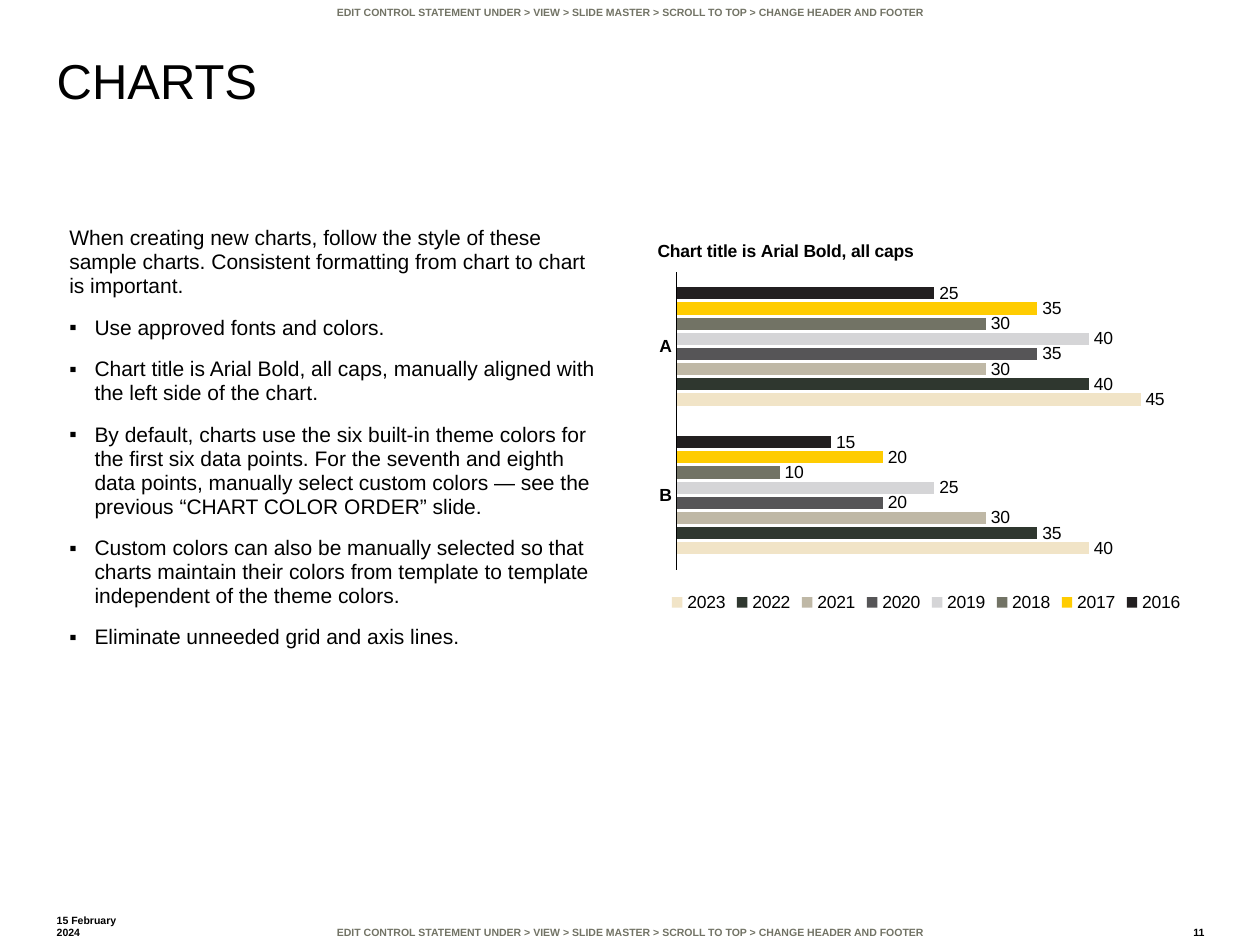
from dataclasses import dataclass

from lxml import etree
from pptx import Presentation
from pptx import util as u
from pptx.chart.data import CategoryChartData
from pptx.dml.color import RGBColor
from pptx.enum import chart as ch, text as t
from pptx.oxml import parse_xml
from pptx.oxml.ns import nsdecls, qn


@dataclass(frozen=True)
class Theme:
    font: str = "Arial"
    ink: str = "000000"
    muted: str = "727365"
    title: int = 28
    body: int = 12
    chart: int = 10
    small: int = 6


THEME = Theme()
CONTROL = ("EDIT CONTROL STATEMENT UNDER > VIEW > SLIDE MASTER > "
           "SCROLL TO TOP > CHANGE HEADER AND FOOTER")
INTRO = ("When creating new charts, follow the style of these sample charts. "
         "Consistent formatting from chart to chart is important.")
GUIDELINES = [
    "Use approved fonts and colors.",
    "Chart title is Arial Bold, all caps, manually aligned with the left side of the chart.",
    "By default, charts use the six built-in theme colors for the first six data points. "
    "For the seventh and eighth data points, manually select custom colors — see the "
    "previous “CHART COLOR ORDER” slide.",
    "Custom colors can also be manually selected so that charts maintain their colors "
    "from template to template independent of the theme colors.",
    "Eliminate unneeded grid and axis lines.",
]
YEARS = {  # year: (values for A and B, bar colour)
    "2016": ((25, 15), "221F20"),
    "2017": ((35, 20), "FFCC01"),
    "2018": ((30, 10), "727365"),
    "2019": ((40, 25), "D5D5D7"),
    "2020": ((35, 20), "565557"),
    "2021": ((30, 30), "BFB8A6"),
    "2022": ((40, 35), "2F372F"),
    "2023": ((45, 40), "F1E4C7"),
}


def apply(target, formats):
    for name, value in formats.items():
        setattr(target, name, value)


def style_font(font, size, color=THEME.ink, bold=False):
    apply(font, {"name": THEME.font, "size": u.Pt(size), "bold": bold})
    font.color.rgb = RGBColor.from_string(color)


def place(shape, box):
    apply(shape, dict(zip(("left", "top", "width", "height"), map(u.Inches, box))))


def style_frame(frame, side, end, anchor=t.MSO_ANCHOR.TOP):
    apply(frame, {
        "word_wrap": True, "auto_size": t.MSO_AUTO_SIZE.NONE, "vertical_anchor": anchor,
        "margin_left": u.Inches(side), "margin_right": u.Inches(side),
        "margin_top": u.Inches(end), "margin_bottom": u.Inches(end),
    })


def set_bullet(paragraph, char=None, indent=0):
    props = paragraph._p.get_or_add_pPr()
    props.set("marL", str(u.Inches(indent)))
    props.set("indent", str(-u.Inches(indent)))
    if char:
        etree.SubElement(props, qn("a:buFont"), typeface=THEME.font)
        etree.SubElement(props, qn("a:buChar"), char=char)
    else:
        etree.SubElement(props, qn("a:buNone"))


def add_heading(title, box):
    place(title, box)
    style_frame(title.text_frame, 0, 0)
    heading = title.text_frame.paragraphs[0]
    heading.text = "CHARTS"
    apply(heading, {"alignment": t.PP_ALIGN.LEFT, "line_spacing": 0.9})
    style_font(heading.runs[0].font, THEME.title)


def add_guidelines(body, box):
    place(body, box)
    frame = body.text_frame
    style_frame(frame, 0.1, 0.05)
    frame.text = "\n".join([INTRO, *GUIDELINES])
    for i, guideline in enumerate(frame.paragraphs):
        apply(guideline, {"line_spacing": 0.95, "space_before": u.Pt(10),
                          "alignment": t.PP_ALIGN.LEFT})
        style_font(guideline.runs[0].font, THEME.body)
        if i:
            set_bullet(guideline, "▪", 0.2)
        else:
            set_bullet(guideline)


def add_small_print(slide, box, wording, align, anchor=t.MSO_ANCHOR.BOTTOM, color=THEME.ink):
    note = slide.shapes.add_textbox(*map(u.Inches, box))
    style_frame(note.text_frame, 0, 0.05, anchor)
    line = note.text_frame.paragraphs[0]
    line.text = wording
    line.alignment = align
    style_font(line.runs[0].font, THEME.small, color, True)


def set_layout(parent, after, inner=False, **fractions):
    """Fix the position of a chart part, in fractions of the chart."""
    for old in parent.findall(qn("c:layout")):
        parent.remove(old)
    target = '<c:layoutTarget val="inner"/>' if inner else ""
    modes = '<c:xMode val="edge"/><c:yMode val="edge"/>'
    sizes = "".join(f'<c:{key} val="{value}"/>' for key, value in fractions.items())
    layout = parse_xml(f'<c:layout {nsdecls("c")}><c:manualLayout>'
                       f'{target}{modes}{sizes}</c:manualLayout></c:layout>')
    previous = parent.find(qn(after)) if after else None
    parent.insert(0 if previous is None else parent.index(previous) + 1, layout)


def add_year_chart(slide, box):
    data = CategoryChartData(number_format="0")
    data.categories = ["A", "B"]
    for year, (values, _) in YEARS.items():
        data.add_series(year, values)
    chart = slide.shapes.add_chart(
        ch.XL_CHART_TYPE.BAR_CLUSTERED, *map(u.Inches, box), data).chart
    style_font(chart.font, THEME.chart)

    # Title, aligned with the left side of the chart
    caption = chart.chart_title.text_frame.paragraphs[0]
    caption.text = "Chart title is Arial Bold, all caps"
    style_font(caption.runs[0].font, THEME.chart, bold=True)
    chart.chart_title.include_in_layout = False
    set_layout(chart.chart_title._element, "c:tx", x=0.01, y=0.04)

    # Bars and value labels
    plot = chart.plots[0]
    apply(plot, {"gap_width": 250, "overlap": -25, "vary_by_categories": False})
    for series, (_, color) in zip(plot.series, YEARS.values()):
        series.format.fill.solid()
        series.format.fill.fore_color.rgb = RGBColor.from_string(color)
        labels = series.data_labels
        apply(labels, {"show_value": True, "position": ch.XL_LABEL_POSITION.OUTSIDE_END})
        style_font(labels.font, THEME.chart)
    set_layout(chart._chartSpace.chart.plotArea, None, True, x=0.05, y=0.13, w=0.93, h=0.75)

    # Axes
    groups = chart.category_axis
    apply(groups, {"reverse_order": True, "major_tick_mark": ch.XL_TICK_MARK.NONE,
                   "minor_tick_mark": ch.XL_TICK_MARK.NONE})
    style_font(groups.tick_labels.font, THEME.chart, bold=True)
    groups.format.line.width = u.Pt(0.75)
    groups.format.line.color.rgb = RGBColor.from_string(THEME.ink)
    apply(chart.value_axis, {"visible": False, "has_major_gridlines": False,
                             "minimum_scale": 0, "maximum_scale": 50})

    # Legend
    chart.has_legend = True
    apply(chart.legend, {"position": ch.XL_LEGEND_POSITION.BOTTOM, "include_in_layout": False})
    style_font(chart.legend.font, THEME.chart)


def main():
    deck = Presentation()
    apply(deck, {"slide_width": u.Inches(10), "slide_height": u.Inches(7.5)})
    slide = deck.slides.add_slide(deck.slide_layouts[1])
    align, anchor = t.PP_ALIGN, t.MSO_ANCHOR

    # Control statements at the top and bottom edges
    for top, edge in ((7.3, anchor.BOTTOM), (0, anchor.TOP)):
        add_small_print(slide, (1.14, top, 7.72, 0.2), CONTROL, align.CENTER, edge, THEME.muted)

    # Date and slide number
    add_small_print(slide, (0.45, 7.25, 0.68, 0.25), "15 February 2024", align.LEFT)
    add_small_print(slide, (9.2, 7.25, 0.36, 0.25), "11", align.RIGHT)

    # Content
    add_heading(slide.shapes.title, (0.45, 0.45, 6.75, 1))
    add_guidelines(slide.placeholders[1], (0.45, 1.75, 4.4, 3.75))
    add_year_chart(slide, (5.15, 1.75, 4.4, 3.15))
    deck.save("out.pptx")


if __name__ == "__main__":
    main()
